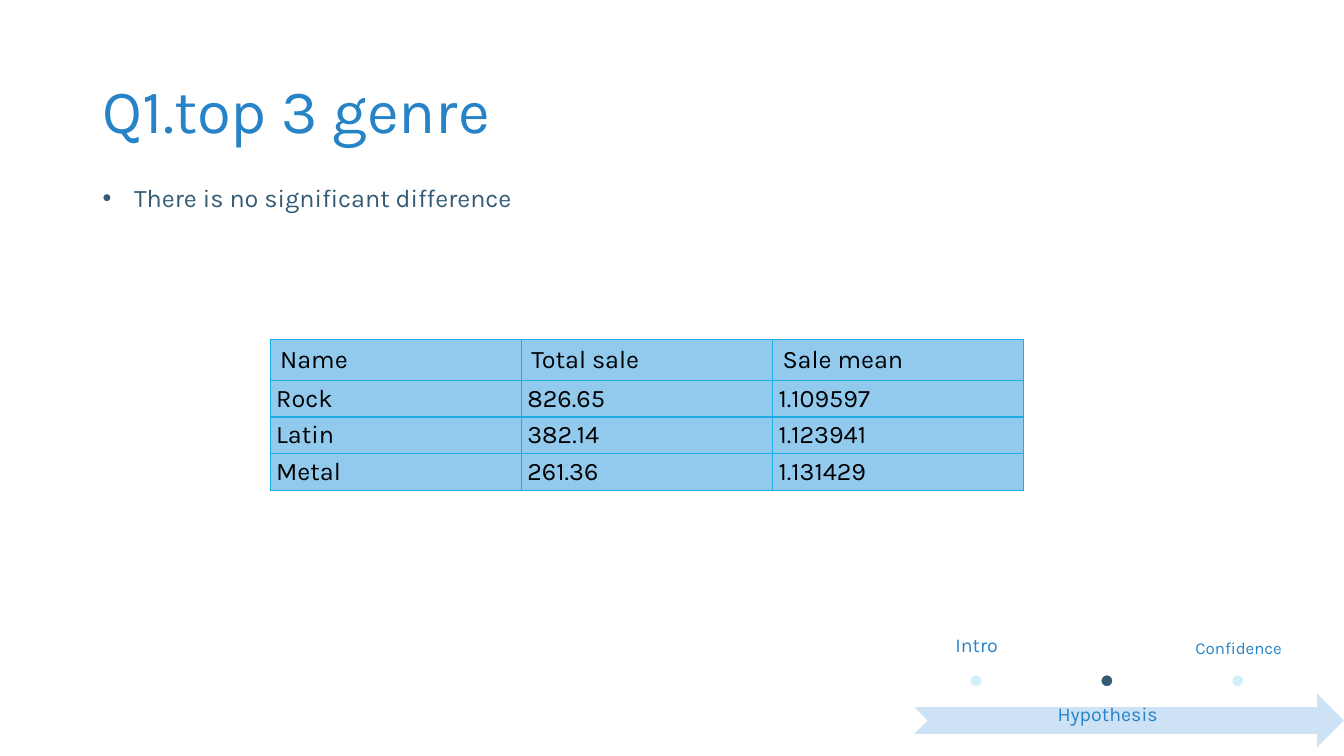
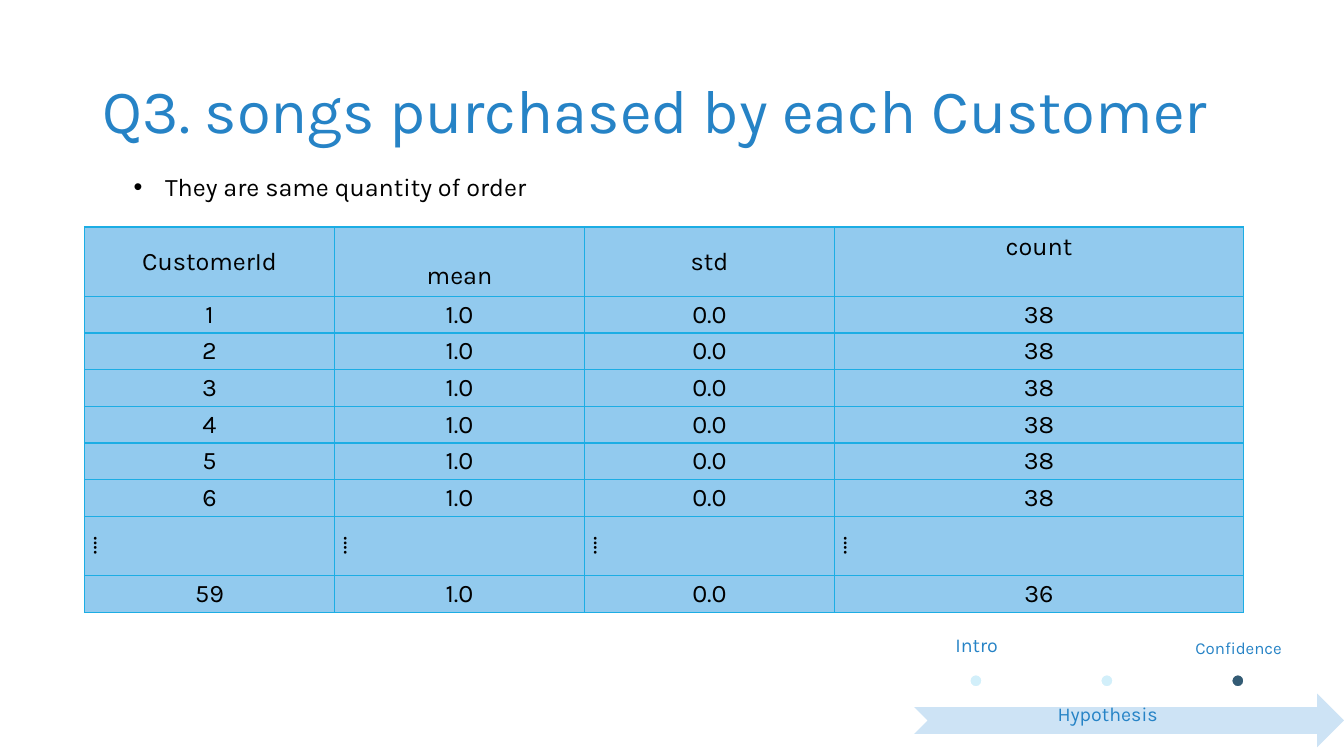
import dataclasses

import pptx
import pptx.dml.color
import pptx.enum.shapes
import pptx.enum.text
import pptx.oxml
import pptx.oxml.ns
import pptx.util

Cm = pptx.util.Cm
Pt = pptx.util.Pt
RGB = pptx.dml.color.RGBColor.from_string
ALIGN = pptx.enum.text.PP_ALIGN
ANCHOR = pptx.enum.text.MSO_ANCHOR
SHAPE = pptx.enum.shapes.MSO_SHAPE


@dataclasses.dataclass(frozen=True)
class Theme:
    font: str = "Karla"
    title: str = "2683C6"
    dark: str = "335B74"
    text: str = "000000"
    cell: str = "92CAEE"
    border: str = "1CADE4"
    arrow: str = "CDE3F5"
    dot: str = "D2EFFA"
    white: str = "FFFFFF"
    title_size: int = 44
    body_size: int = 18
    step_size: int = 14
    small_size: int = 12


theme = Theme()


def write(paragraph, text, size, color, align=ALIGN.LEFT):
    paragraph.alignment = align
    run = paragraph.add_run()
    run.text = text
    run.font.name = theme.font
    run.font.size = Pt(size)
    run.font.bold = False
    run.font.color.rgb = RGB(color)


def add_text(slide, box, text, size, color, align=ALIGN.LEFT, anchor=ANCHOR.TOP):
    frame = slide.shapes.add_textbox(*map(Cm, box)).text_frame
    frame.word_wrap = True
    frame.vertical_anchor = anchor
    write(frame.paragraphs[0], text, size, color, align)
    return frame


# Content of the slides
ROW_HEIGHT = 0.89
ELLIPSIS = "…."
slides = [
    {
        "title": "Q1.top 3 genre",
        "bullet": "There is no significant difference",
        "bullet_box": (2.34, 4.47, 10.97, 1.02),
        "bullet_color": theme.dark,
        "table_at": (6.81, 8.56),
        "columns": [6.33] * 3,
        "header_height": 0.99,
        "header_margins": (0.25, 0.13),
        "header_anchors": [ANCHOR.TOP] * 3,
        "align": ALIGN.LEFT,
        "rows": [
            ["Name", "Total sale", "Sale mean"],
            ["Rock", "826.65", "1.109597"],
            ["Latin", "382.14", "1.123941"],
            ["Metal", "261.36", "1.131429"],
        ],
        "step": 1,
    },
    {
        "title": "Q3. songs purchased by each Customer",
        "bullet": "They are same quantity of order",
        "bullet_box": (3.12, 4.19, 11.89, 1.02),
        "bullet_color": theme.text,
        "table_at": (2.13, 5.72),
        "columns": [6.3, 6.3, 6.3, 10.31],
        "header_height": 1.75,
        "header_margins": (0.15, 0.13),
        "header_anchors": [ANCHOR.MIDDLE, ANCHOR.BOTTOM, ANCHOR.MIDDLE, ANCHOR.TOP],
        "align": ALIGN.CENTER,
        "rows": [
            ["CustomerId", "mean", "std", "count"],
            *[[str(customer), "1.0", "0.0", "38"] for customer in range(1, 7)],
            [ELLIPSIS] * 4,
            ["59", "1.0", "0.0", "36"],
        ],
        "step": 2,
    },
]

# Timeline steps: label, type size, inset, below the dots
steps = [
    ("Intro", theme.step_size, 0.28, False),
    ("Hypothesis", theme.step_size, 0.28, True),
    ("Confidence", theme.small_size, 0.23, False),
]

presentation = pptx.Presentation()
presentation.slide_width = Cm(33.87)
presentation.slide_height = Cm(19.05)

for content in slides:
    slide = presentation.slides.add_slide(presentation.slide_layouts[6])

    # Title
    frame = add_text(slide, (2.34, 1.02, 29.21, 3.68), content["title"],
                     theme.title_size, theme.title, anchor=ANCHOR.MIDDLE)
    frame.paragraphs[0].line_spacing = 0.9

    # Table
    rows, columns = content["rows"], content["columns"]
    heights = [ROW_HEIGHT] * len(rows)
    heights[0] = content["header_height"]
    left, top = content["table_at"]
    table = slide.shapes.add_table(len(rows), len(columns), Cm(left), Cm(top),
                                   Cm(sum(columns)), Cm(sum(heights))).table
    table.first_row = False
    table.horz_banding = False
    for column, width in zip(table.columns, columns):
        column.width = Cm(width)
    for row_index, texts in enumerate(rows):
        is_ellipsis = texts[0] == ELLIPSIS
        table.rows[row_index].height = Cm(1.5 if is_ellipsis else heights[row_index])
        for column_index, text in enumerate(texts):
            cell = table.cell(row_index, column_index)
            side, edge = (0.15, 0.08)
            cell.vertical_anchor = ANCHOR.MIDDLE
            if row_index == 0:
                side, edge = content["header_margins"]
                cell.vertical_anchor = content["header_anchors"][column_index]
            cell.margin_left = cell.margin_right = Cm(side)
            cell.margin_top = cell.margin_bottom = Cm(edge)
            write(cell.text_frame.paragraphs[0], text, theme.body_size, theme.text,
                  content["align"])
            properties = cell._tc.get_or_add_tcPr()
            if is_ellipsis:
                properties.set("vert", "vert")
            for border in ("lnL", "lnR", "lnT", "lnB"):
                properties.append(pptx.oxml.parse_xml(
                    f'<a:{border} {pptx.oxml.ns.nsdecls("a")} w="{Pt(1)}"><a:solidFill>'
                    f'<a:srgbClr val="{theme.border}"/></a:solidFill></a:{border}>'))
            cell.fill.solid()
            cell.fill.fore_color.rgb = RGB(theme.cell)

    # Bullet
    frame = add_text(slide, content["bullet_box"], content["bullet"],
                     theme.body_size, content["bullet_color"])
    properties = frame.paragraphs[0]._p.get_or_add_pPr()
    properties.set("marL", str(Cm(0.79)))
    properties.set("indent", str(-Cm(0.79)))
    for bullet_xml in ('<a:buFont {} typeface="Arial"/>', '<a:buChar {} char="•"/>'):
        properties.append(pptx.oxml.parse_xml(
            bullet_xml.format(pptx.oxml.ns.nsdecls("a"))))

    # Timeline
    arrow = slide.shapes.add_shape(SHAPE.NOTCHED_RIGHT_ARROW,
                                   Cm(23.04), Cm(17.48), Cm(10.83), Cm(1.35))
    arrow.shadow.inherit = False
    arrow.fill.solid()
    arrow.fill.fore_color.rgb = RGB(theme.arrow)
    arrow.line.fill.background()
    for index, (label, size, inset, below) in enumerate(steps):
        offset = 3.3 * index
        frame = add_text(slide, (23.04 + offset, 17.48 if below else 15.47, 3.15, 1.35),
                         label, size, theme.title, ALIGN.CENTER,
                         ANCHOR.TOP if below else ANCHOR.BOTTOM)
        frame.margin_left = frame.margin_right = Cm(inset)
        frame.margin_top = frame.margin_bottom = Cm(inset)
        frame.paragraphs[0].line_spacing = 0.9
        dot = slide.shapes.add_shape(SHAPE.OVAL, Cm(24.43 + offset), Cm(16.99),
                                     Cm(0.33), Cm(0.33))
        dot.shadow.inherit = False
        dot.fill.solid()
        dot.fill.fore_color.rgb = RGB(theme.dark if index == content["step"] else theme.dot)
        dot.line.color.rgb = RGB(theme.white)
        dot.line.width = Pt(1.5)

presentation.save("out.pptx")
